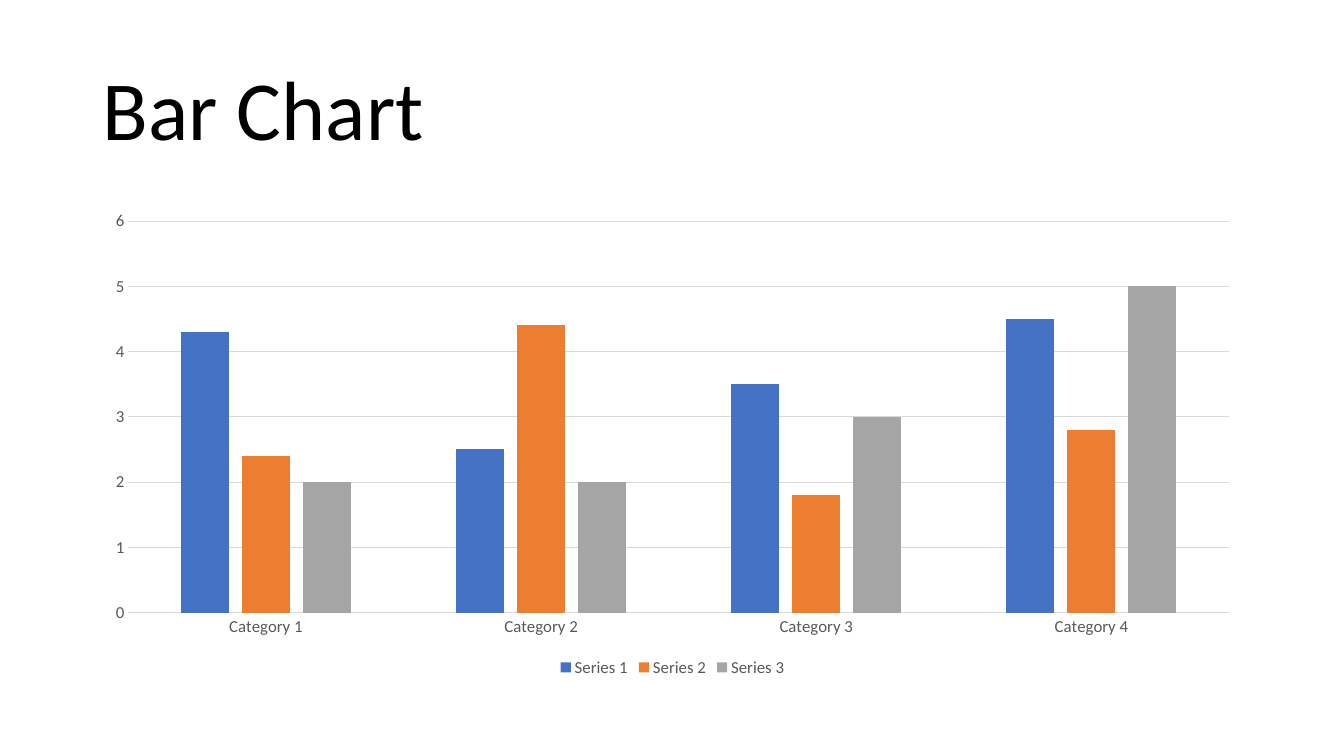
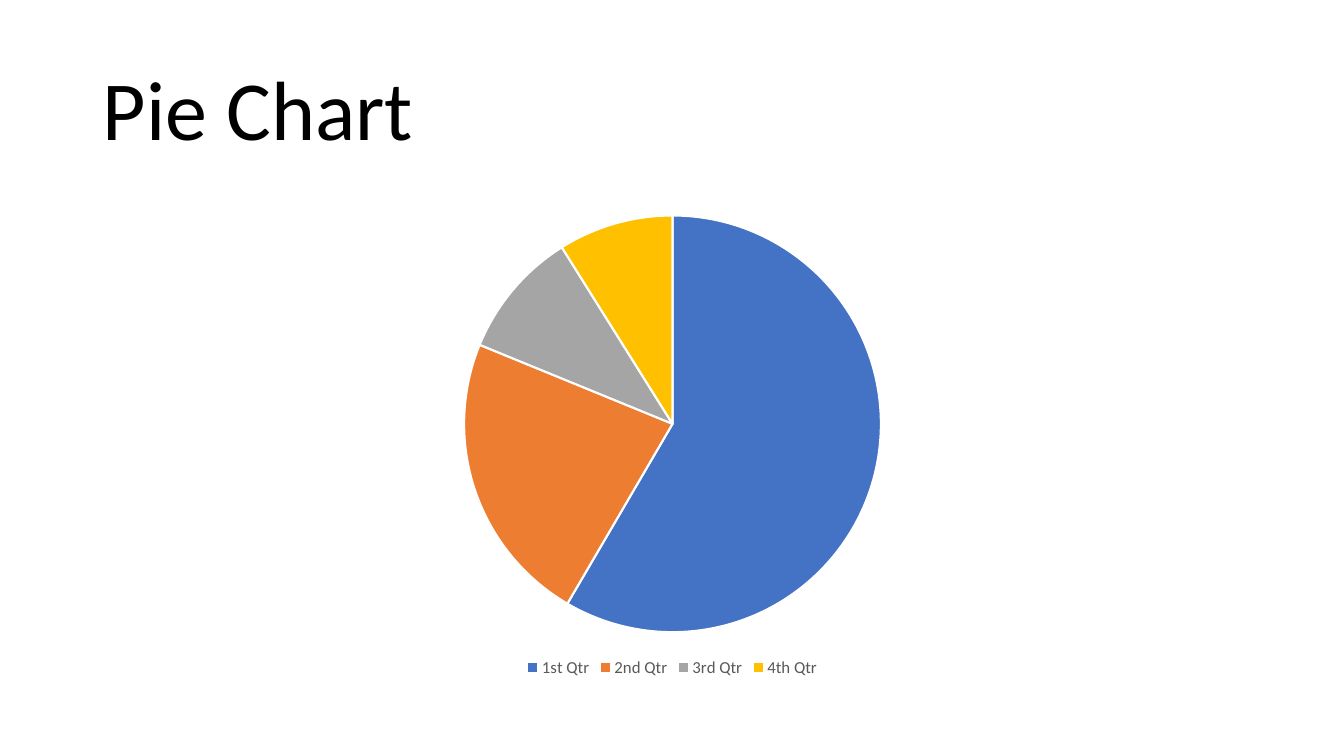
import pptx
import pptx.chart.data
import pptx.dml.color
import pptx.enum.chart
import pptx.enum.text
import pptx.util

Inches = pptx.util.Inches
Pt = pptx.util.Pt
RGBColor = pptx.dml.color.RGBColor
ChartType = pptx.enum.chart.XL_CHART_TYPE

FONT = "Calibri"
WHITE = RGBColor(0xFF, 0xFF, 0xFF)
BLACK = RGBColor(0x00, 0x00, 0x00)
LABEL_GREY = RGBColor(0x59, 0x59, 0x59)
LINE_GREY = RGBColor(0xD9, 0xD9, 0xD9)
ACCENTS = [
    RGBColor(0x44, 0x72, 0xC4),
    RGBColor(0xED, 0x7D, 0x31),
    RGBColor(0xA5, 0xA5, 0xA5),
    RGBColor(0xFF, 0xC0, 0x00),
]

# left, top, width, height
TITLE_BOX = [Inches(n) for n in (0.92, 0.4, 11.5, 1.45)]
CHART_BOX = [Inches(n) for n in (0.92, 2, 11.5, 4.76)]


def style_font(font, size, color):
    font.name = FONT
    font.size = Pt(size)
    font.color.rgb = color


def style_line(line, color, width):
    line.color.rgb = color
    line.width = Pt(width)


def fill_solid(fill, color):
    fill.solid()
    fill.fore_color.rgb = color


def add_page(deck, title):
    """Add a white slide with a left-aligned title."""
    page = deck.slides.add_slide(deck.slide_layouts.get_by_name("Title Only"))
    fill_solid(page.background.fill, WHITE)
    box = page.shapes.title
    box.left, box.top, box.width, box.height = TITLE_BOX
    frame = box.text_frame
    frame.text = title
    frame.word_wrap = True
    frame.auto_size = pptx.enum.text.MSO_AUTO_SIZE.NONE
    frame.vertical_anchor = pptx.enum.text.MSO_ANCHOR.MIDDLE
    para = frame.paragraphs[0]
    para.alignment = pptx.enum.text.PP_ALIGN.LEFT
    para.line_spacing = 0.9
    style_font(para.font, 60, BLACK)
    return page


def add_chart(page, box, kind, categories, series):
    """Add a chart without a title and with its legend at the bottom."""
    data = pptx.chart.data.CategoryChartData()
    data.categories = categories
    for name, values in series.items():
        data.add_series(name, values)
    chart = page.shapes.add_chart(kind, *box, data).chart
    chart.has_title = False
    style_font(chart.font, 10, BLACK)
    chart.has_legend = True
    chart.legend.position = pptx.enum.chart.XL_LEGEND_POSITION.BOTTOM
    chart.legend.include_in_layout = False
    style_font(chart.legend.font, 12, LABEL_GREY)
    return chart


def style_axes(chart):
    tick_none = pptx.enum.chart.XL_TICK_MARK.NONE
    for axis in (chart.category_axis, chart.value_axis):
        axis.major_tick_mark = tick_none
        axis.minor_tick_mark = tick_none
        style_font(axis.tick_labels.font, 12, LABEL_GREY)
    style_line(chart.category_axis.format.line, LINE_GREY, 0.75)
    chart.value_axis.format.line.fill.background()
    chart.value_axis.has_major_gridlines = True
    style_line(chart.value_axis.major_gridlines.format.line, LINE_GREY, 0.75)


def add_column_chart(page, box, categories, series):
    chart = add_chart(page, box, ChartType.COLUMN_CLUSTERED, categories, series)
    style_axes(chart)
    plot = chart.plots[0]
    plot.vary_by_categories = False
    plot.gap_width = 219
    plot.overlap = -27
    for columns, color in zip(plot.series, ACCENTS):
        fill_solid(columns.format.fill, color)


def add_pie_chart(page, box, categories, series):
    chart = add_chart(page, box, ChartType.PIE, categories, series)
    plot = chart.plots[0]
    plot.vary_by_categories = True
    for index, color in enumerate(ACCENTS):
        wedge = plot.series[0].points[index].format
        fill_solid(wedge.fill, color)
        style_line(wedge.line, WHITE, 1.5)


def main():
    deck = pptx.Presentation()
    deck.slide_width = Inches(13.33)
    deck.slide_height = Inches(7.5)

    add_column_chart(
        add_page(deck, "Bar Chart"),
        CHART_BOX,
        ["Category 1", "Category 2", "Category 3", "Category 4"],
        {
            "Series 1": [4.3, 2.5, 3.5, 4.5],
            "Series 2": [2.4, 4.4, 1.8, 2.8],
            "Series 3": [2, 2, 3, 5],
        },
    )
    add_pie_chart(
        add_page(deck, "Pie Chart"),
        CHART_BOX,
        ["1st Qtr", "2nd Qtr", "3rd Qtr", "4th Qtr"],
        {"Series 1": [59, 23, 10, 9]},
    )
    deck.save("out.pptx")


if __name__ == "__main__":
    main()
